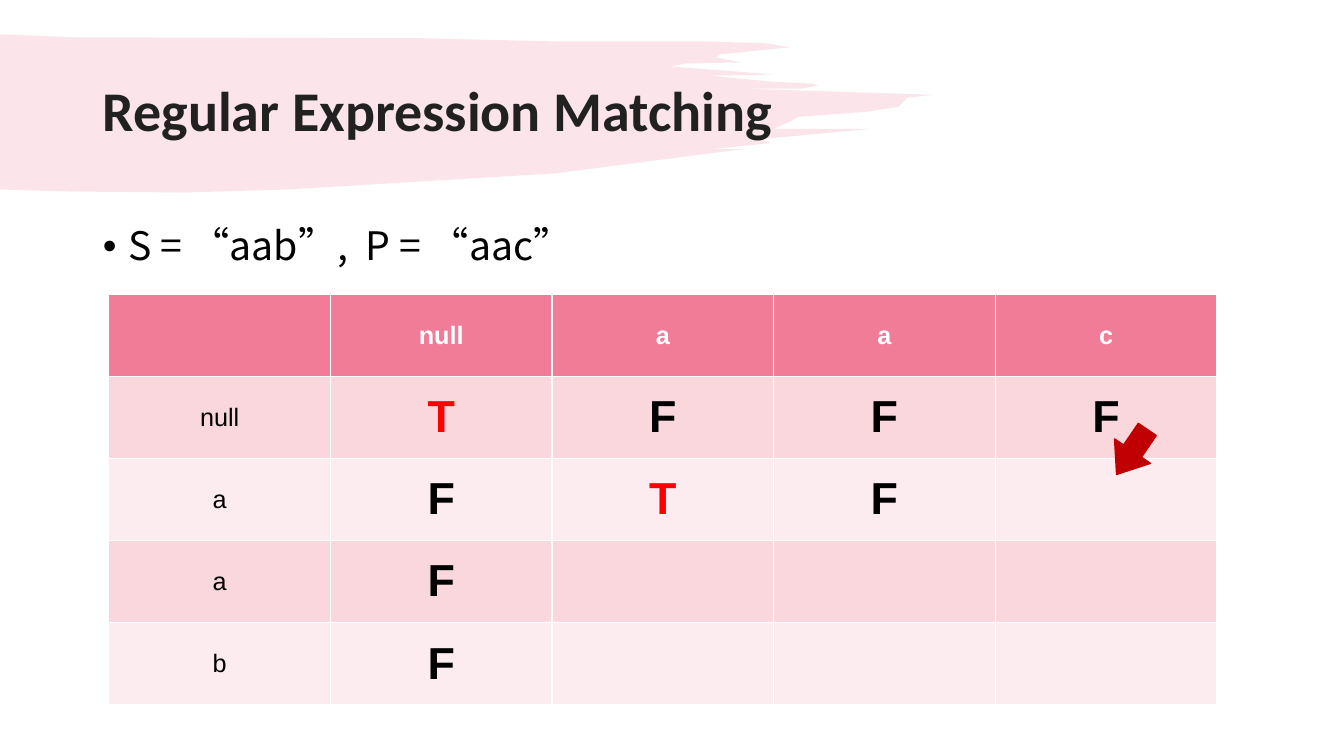
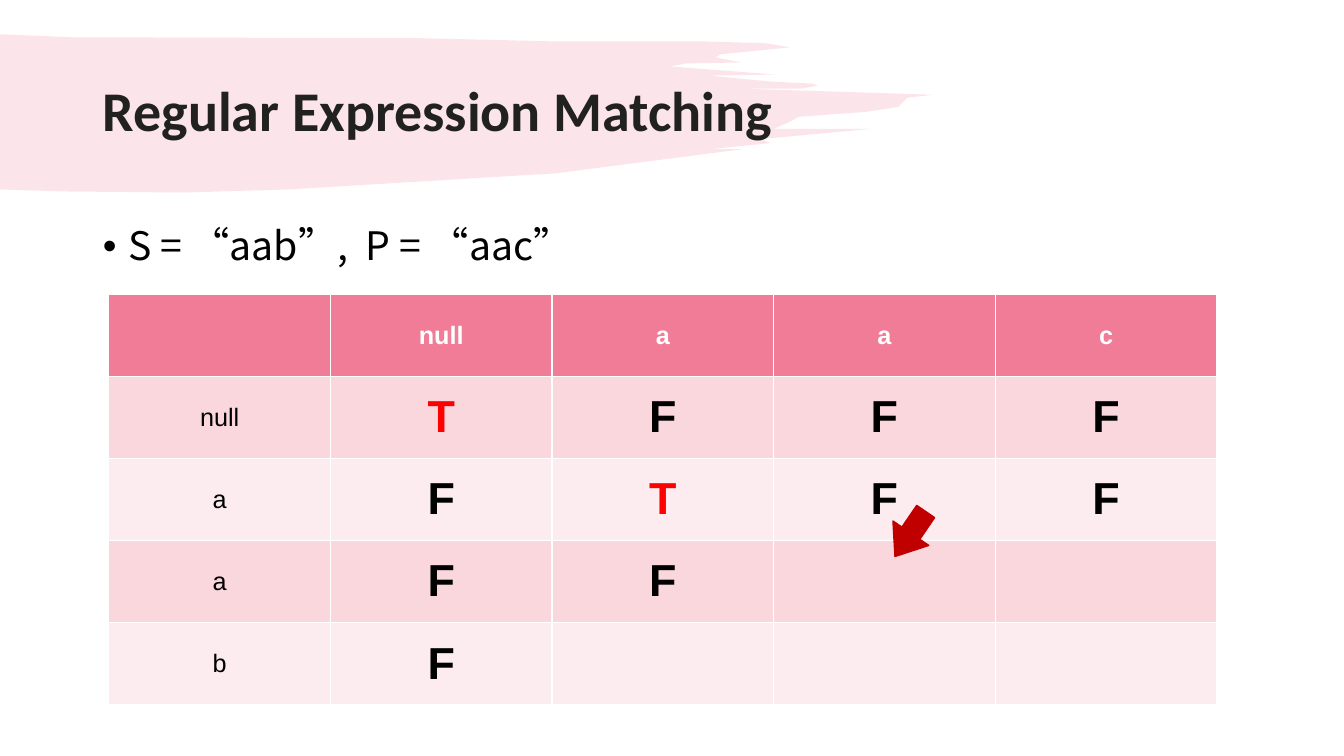
from pptx import Presentation
from pptx.dml.color import RGBColor
from pptx.enum.shapes import MSO_SHAPE as Shape
from pptx.enum.text import MSO_ANCHOR as Anchor, PP_ALIGN as Align
from pptx.util import Pt

PX = 9144
PINK = RGBColor(0xF0, 0x7C, 0x98)
BLUSH = RGBColor(0xFC, 0xE5, 0xEA)
BANDS = RGBColor(0xFC, 0xEC, 0xEF), RGBColor(0xF9, 0xD7, 0xDD)
WHITE = RGBColor(0xFF, 0xFF, 0xFF)
BLACK = RGBColor(0, 0, 0)
DARK = RGBColor(0x21, 0x21, 0x21)
RED = RGBColor(0xFF, 0, 0)
BRICK = RGBColor(0xC0, 0, 0)

TABLE = LEFT, TOP, WIDTH, HEIGHT = 108, 292, 1099, 407
COUNT = 5
HEAD = ["", "null", "a", "a", "c"]
SIDE = ["null", "a", "a", "b"]

EDGE = [
    (0, 34), (70, 37), (421, 38), (544, 41), (694, 41), (760, 43),
    (783, 47), (714, 54), (710, 57), (735, 62), (680, 63), (665, 66),
    (769, 74), (703, 75), (765, 81), (806, 83), (811, 85), (795, 88),
    (736, 88), (925, 94), (900, 97), (891, 106), (859, 111), (792, 116),
    (785, 120), (767, 128), (863, 128), (755, 138), (764, 142),
    (705, 148), (737, 148), (551, 172), (286, 188), (183, 191),
    (65, 190), (0, 188),
]


def scale(*sizes):
    return [round(size * PX) for size in sizes]


def write(frame, words, size=18, face="Arial", color=BLACK, bold=False,
          align=Align.LEFT, lead=1.0):
    para = frame.paragraphs[0]
    para.alignment, para.line_spacing, para.space_before = align, lead, Pt(0)
    run = para.add_run()
    run.text = words
    font = run.font
    font.size, font.name, font.bold = Pt(size), face, bold
    font.color.rgb = color
    return para


class Deck:
    def __init__(self):
        self.file = Presentation()
        self.file.slide_width, self.file.slide_height = scale(1333, 750)
        self.layout = self.file.slide_layouts[1]
        self.slide = None

    def page(self):
        self.slide = self.file.slides.add_slide(self.layout)

    def paint(self, shape, fill):
        shape.shadow.inherit = False
        shape.fill.solid()
        shape.fill.fore_color.rgb = fill

    def brush(self):
        first, *rest = EDGE
        trace = self.slide.shapes.build_freeform(*first, scale=PX)
        trace.add_line_segments(rest, close=True)
        shape = trace.convert_to_shape()
        self.paint(shape, BLUSH)
        shape.line.fill.background()
        shape.element.nvSpPr.cNvPr.set("id", "20")
        self.layout.shapes.element.insert(2, shape.element)

    def place(self, holder, *box):
        holder.left, holder.top, holder.width, holder.height = scale(*box)
        holder.text_frame.word_wrap = True
        return holder.text_frame

    def title(self, words):
        frame = self.place(self.slide.shapes.title, 92, 40, 1150, 145)
        frame.vertical_anchor = Anchor.MIDDLE
        write(frame, words, size=40, face="Calibri", color=DARK, bold=True,
              lead=0.9)

    def list(self, words):
        frame = self.place(self.slide.placeholders[1], 92, 220, 1150, 455)
        para = write(frame, words, size=28, face="Noto Sans CJK TC", lead=0.9)
        (inset,) = scale(25)
        props = para._p.get_or_add_pPr()
        props.set("marL", str(inset))
        props.set("indent", str(-inset))

    def table(self, marks):
        rows = [HEAD] + [[name, *line] for name, line in zip(SIDE, marks)]
        table = self.slide.shapes.add_table(COUNT, COUNT, *scale(*TABLE)).table
        for r, row in enumerate(rows):
            for c in range(COUNT):
                cell = table.cell(r, c)
                cell.fill.solid()
                cell.fill.fore_color.rgb = BANDS[r % 2] if r else PINK
                cell.vertical_anchor = Anchor.MIDDLE
                word = row[c] if c < len(row) else ""
                if word:
                    tint = RED if word == "T" else BLACK
                    write(cell.text_frame, word, align=Align.CENTER,
                          size=32 if r and c else 18,
                          color=tint if r else WHITE, bold=not r or c > 0)

    def arrow(self, row, col):
        x = LEFT + col * WIDTH / COUNT + 114
        y = TOP + row * HEIGHT / COUNT + 48
        shape = self.slide.shapes.add_shape(
            Shape.DOWN_ARROW, *scale(x, y, 43, 54))
        shape.adjustments[0], shape.adjustments[1] = 0.5, 0.65
        shape.rotation = 34.3
        self.paint(shape, BRICK)
        shape.line.color.rgb = BRICK
        shape.line.width = Pt(1)


def main():
    deck = Deck()
    steps = [
        (["TFFF", "FTF", "F", "F"], (1, 4)),
        (["TFFF", "FTFF", "FF", "F"], (2, 3)),
    ]
    for index, (marks, spot) in enumerate(steps):
        deck.page()
        if index == 0:
            deck.brush()
        deck.title("Regular Expression Matching")
        deck.list("S = “aab”,  P = “aac”")
        deck.table(marks)
        deck.arrow(*spot)
    deck.file.save("out.pptx")


if __name__ == "__main__":
    main()
